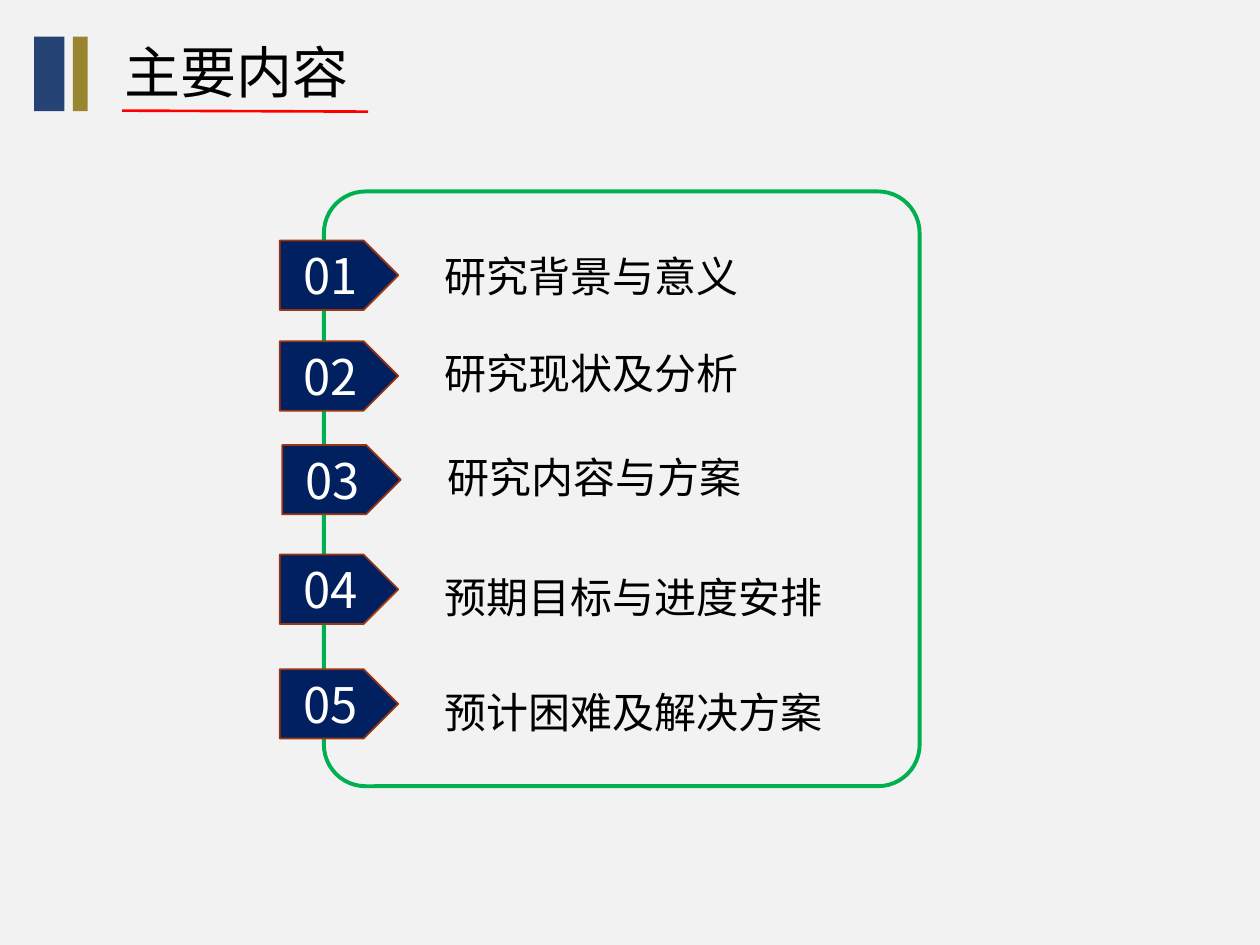
from lxml import etree
from pptx import Presentation
from pptx import util as u
from pptx.dml.color import RGBColor
from pptx.enum import shapes, text
from pptx.oxml import ns

FONT = "Noto Sans CJK SC"


def paint(target, color):
    """Give a fill, or the fill of a line or font, a solid colour."""
    target.solid()
    target.fore_color.rgb = RGBColor.from_string(color)


def add_span(para, words, size, color):
    span = para.add_run()
    span.text = words
    span.font.size = u.Pt(size)
    span.font.name = FONT
    paint(span.font.fill, color)
    east_asian = etree.SubElement(span.font._element, ns.qn("a:ea"))
    east_asian.set("typeface", FONT)


deck = Presentation()
deck.slide_width, deck.slide_height = u.Cm(25.4), u.Cm(19.05)
page = deck.slides.add_slide(deck.slide_layouts[6])
paint(page.background.fill, "F2F2F2")

# Bars beside the title
for left, width, color in [(0.69, 0.61, "254375"), (1.47, 0.3, "998530")]:
    bar = page.shapes.add_shape(
        shapes.MSO_SHAPE.RECTANGLE, u.Cm(left), u.Cm(0.74), u.Cm(width), u.Cm(1.5))
    bar.shadow.inherit = False
    paint(bar.fill, color)
    bar.line.fill.background()

# Title and its underline
title = page.shapes.add_textbox(u.Cm(2.27), u.Cm(0.64), u.Cm(5.14), u.Cm(1.63))
title.text_frame.word_wrap = False
add_span(title.text_frame.paragraphs[0], "主要内容", 32, "000000")

underline = page.shapes.add_connector(
    shapes.MSO_CONNECTOR.STRAIGHT, u.Cm(2.46), u.Cm(2.23), u.Cm(7.42), u.Cm(2.25))
paint(underline.line.fill, "FF0000")
underline.line.width = u.Pt(1.5)
etree.SubElement(underline._element.spPr, ns.qn("a:effectLst"))

# Rounded frame behind the agenda
frame = page.shapes.add_shape(
    shapes.MSO_SHAPE.ROUNDED_RECTANGLE, u.Cm(6.53), u.Cm(3.86), u.Cm(12.01), u.Cm(11.99))
frame.shadow.inherit = False
frame.adjustments[0] = 0.07
frame.fill.background()
paint(frame.line.fill, "00B050")
frame.line.width = u.Pt(2.25)

# Agenda: tag left, tag top, label width, line spacing, label
agenda = [
    (5.64, 4.85, 6.78, 1.0, "研究背景与意义"),
    (5.64, 6.88, 6.78, 0.9, "研究现状及分析"),
    (5.69, 8.97, 6.78, 0.9, "研究内容与方案"),
    (5.64, 11.18, 8.69, 1.3, "预期目标与进度安排"),
    (5.64, 13.49, 8.69, 1.3, "预计困难及解决方案"),
]
for number, (left, top, width, spacing, label) in enumerate(agenda, start=1):
    # Numbered tag
    tag = page.shapes.add_shape(
        shapes.MSO_SHAPE.PENTAGON, u.Cm(left), u.Cm(top), u.Cm(2.39), u.Cm(1.4))
    tag.shadow.inherit = False
    paint(tag.fill, "002060")
    paint(tag.line.fill, "9C3511")
    tag.line.width = u.Pt(1)
    tag.text_frame.vertical_anchor = text.MSO_ANCHOR.MIDDLE
    para = tag.text_frame.paragraphs[0]
    para.alignment = text.PP_ALIGN.CENTER
    add_span(para, f"{number:02d}", 28, "FFFFFF")

    # Label
    box = page.shapes.add_textbox(
        u.Cm(left + 3.33), u.Cm(top + 0.05), u.Cm(width), u.Cm(1.3))
    body = box.text_frame
    body.word_wrap = True
    body.vertical_anchor = text.MSO_ANCHOR.MIDDLE
    body.margin_left = body.margin_right = body.margin_top = body.margin_bottom = 0
    para = body.paragraphs[0]
    para.line_spacing = spacing
    add_span(para, label, 24, "000000")

deck.save("out.pptx")
